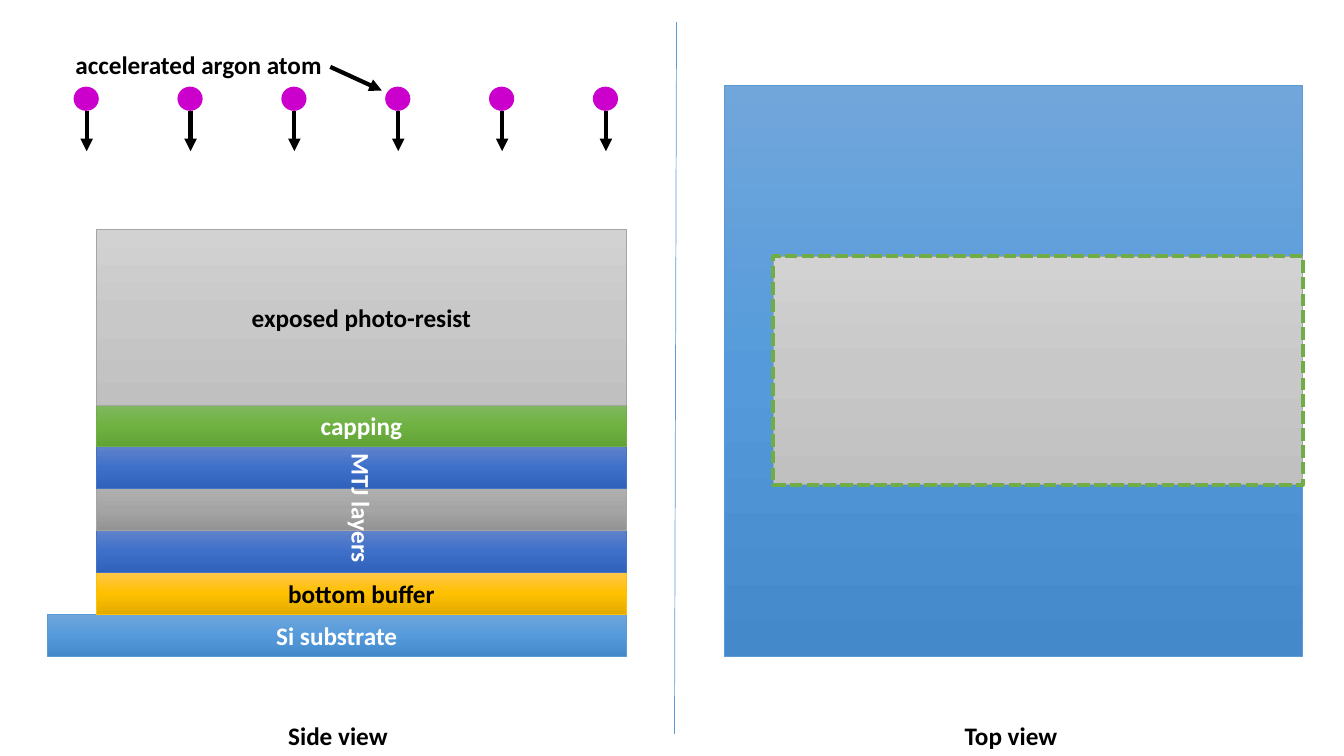
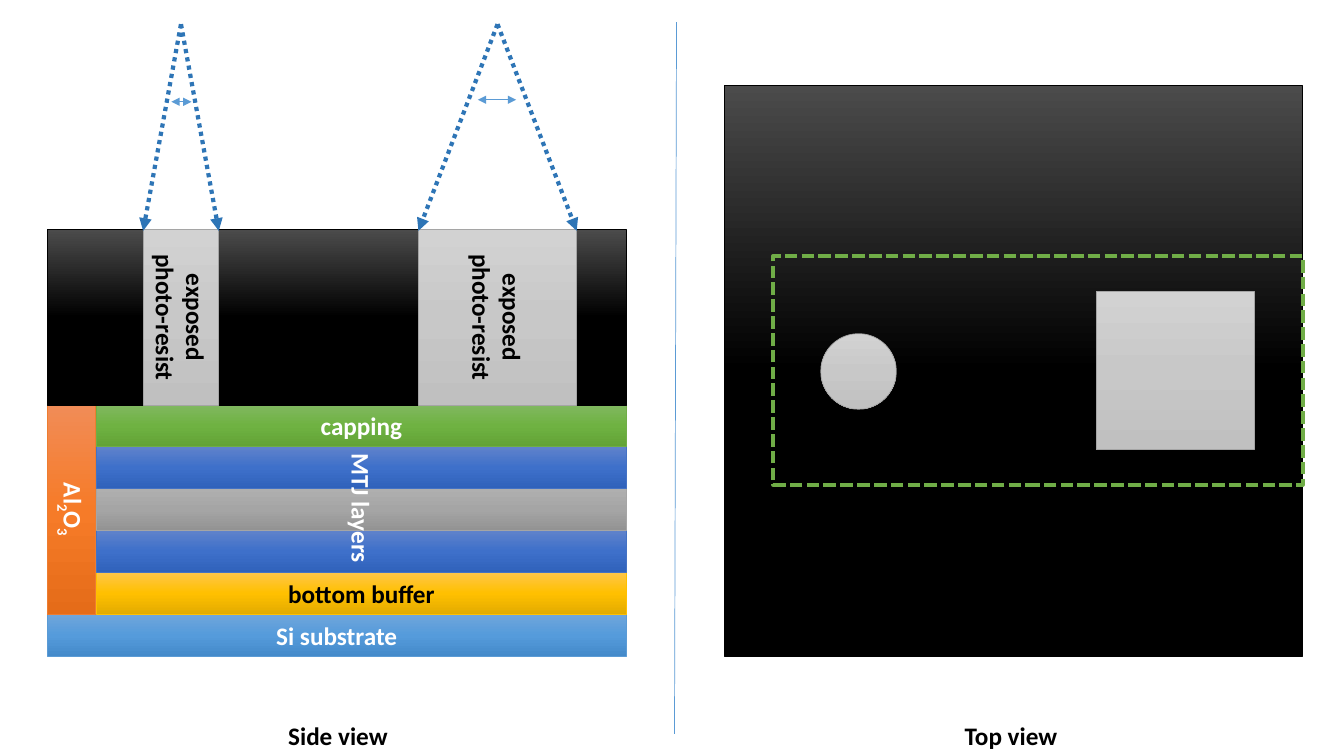
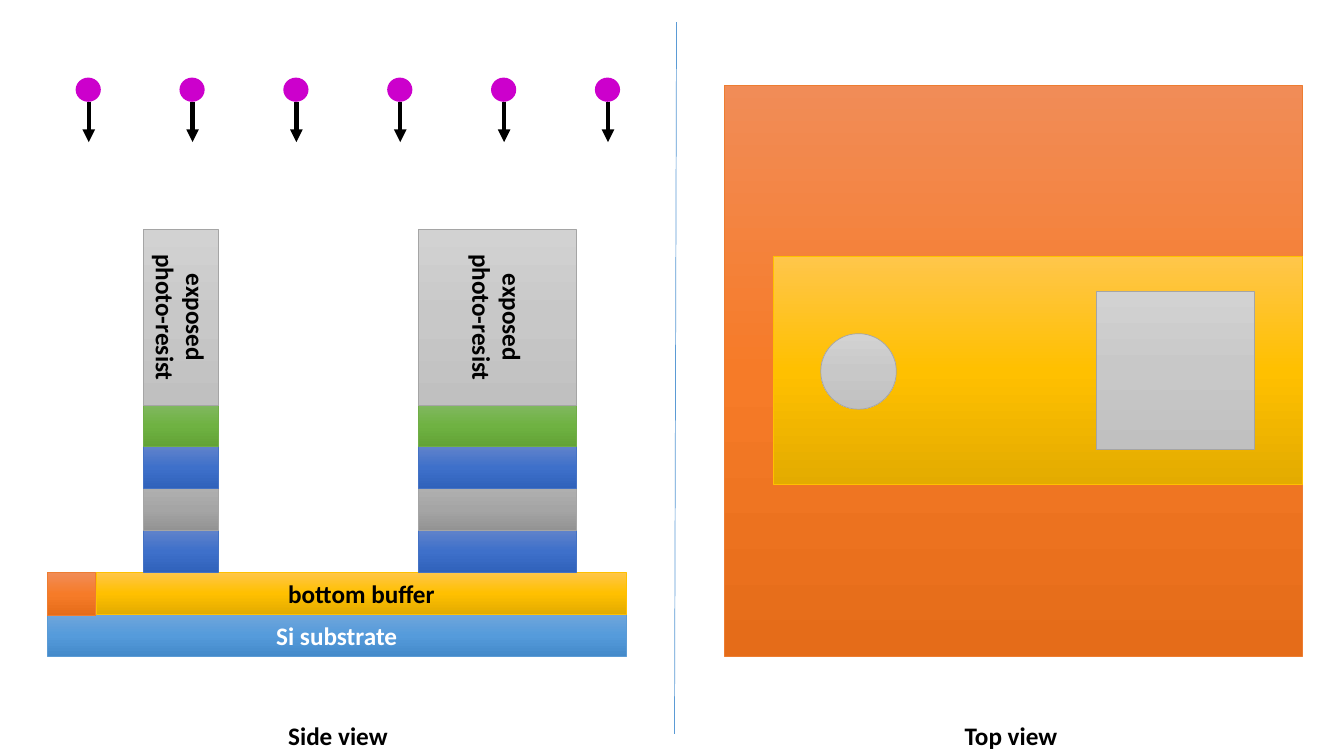
"""Draws three etching steps of a tunnel junction, each in side view and top view."""
from copy import deepcopy
from itertools import groupby

from lxml import etree
from pptx import Presentation
from pptx.dml.color import RGBColor
from pptx.enum.dml import MSO_LINE
from pptx.enum.shapes import MSO_CONNECTOR, MSO_SHAPE
from pptx.enum.text import MSO_ANCHOR, MSO_AUTO_SIZE, PP_ALIGN
from pptx.oxml.ns import qn
from pptx.util import Emu, Pt

RECT, OVAL = MSO_SHAPE.RECTANGLE, MSO_SHAPE.OVAL
CALLOUT = MSO_SHAPE.LINE_CALLOUT_1_NO_BORDER
STRAIGHT = MSO_CONNECTOR.STRAIGHT
DASHES, DOTS = MSO_LINE.SQUARE_DOT, MSO_LINE.ROUND_DOT
CENTER, MIDDLE = PP_ALIGN.CENTER, MSO_ANCHOR.MIDDLE
GROW = MSO_AUTO_SIZE.SHAPE_TO_FIT_TEXT

PX = 9144
FONT, FONT_SIZE = "Calibri", 18
BLACK, WHITE, BLUE, BEAM_BLUE = "000000", "FFFFFF", "5B9BD5", "2E75B6"
GREEN, ATOM_PURPLE = "70AD47", "CC00CC"

# material: gradient stops, outline, label colour
MATERIALS = {
    "substrate": (("71A6DB", "559BDB", "448ACA"), BLUE, WHITE),
    "buffer": (("FFC64B", "FFC000", "E3AB00"), "FFC000", BLACK),
    "magnet": (("6183CB", "3E70CA", "3062BB"), "4472C4", WHITE),
    "barrier": (("AFAFAF", "A5A5A5", "939393"), "A5A5A5", WHITE),
    "capping": (("81B861", "6FB242", "62A336"), GREEN, WHITE),
    "resist": (("D2D2D2", "C8C8C8", "C0C0C0"), "A5A5A5", BLACK),
    "unexposed": (("4B4B4B", "000000", "000000"), BLACK, WHITE),
    "alumina": (("F18C57", "F67B28", "E56C19"), "ED7D31", WHITE),
}

CAPTIONS = [("Side view", 276, 119), ("Top view", 947, 113)]
SIDE_LEFT, SIDE_WIDTH = 47, 574
STACK_LEFT, STACK_WIDTH = 96, 525
SUBSTRATE_TOP, LAYER_HEIGHT, LAYER_PITCH = 609, 42, 41.6
JUNCTION = ["magnet", "barrier", "magnet", "capping"]
RESIST_TOP, RESIST_HEIGHT = 228, 174
PILLARS = [(142, 75), (415, 157)]
WAFER = (718, 85, 574, 566)
MESA = (767, 254, 525, 227)
PILLAR_TOPS = [(OVAL, (814, 331, 75, 75)), (RECT, (1087, 289, 157, 157))]
PILLAR_LABEL = "exposed\nphoto-resist"
ATOM_COUNT, ATOM_PITCH, ATOM_SIZE = 6, 103, (25, 24)
BEAM_TOP, SPREADS = 24, [(170, 190, 101), (474, 512, 99)]


def rgb(color):
    """Turn a hex string into a colour."""
    return RGBColor.from_string(color)


def px(*lengths):
    """Turn px into EMU."""
    return [Emu(round(length * PX)) for length in lengths]


def outline(line, color, width, dash=None):
    """Set colour, width and dash of a line."""
    line.color.rgb = rgb(color)
    line.width = Pt(width)
    if dash:
        line.dash_style = dash


def add_arrowheads(item, ends):
    """Put triangles on the named ends of a line."""
    ln = item._element.spPr.find(qn("a:ln"))
    for end in ends:
        etree.SubElement(ln, qn(f"a:{end}End")).set("type", "triangle")


def write(frame, text, color, align=None):
    """Write lines of bold text, with digits as subscripts."""
    for number, line in enumerate(text.split("\n")):
        paragraph = frame.add_paragraph() if number else frame.paragraphs[0]
        paragraph.alignment = align
        for is_digit, letters in groupby(line, str.isdigit):
            run = paragraph.add_run()
            run.text = "".join(letters)
            font = run.font
            font.name, font.size, font.bold = FONT, Pt(FONT_SIZE), True
            font.color.rgb = rgb(color)
            if is_digit:
                run._r.get_or_add_rPr().set("baseline", "-25000")


def add_plain(slide, kind, box):
    """Add an unfilled shape without a shadow."""
    shape = slide.shapes.add_shape(kind, *px(*box))
    shape.shadow.inherit = False
    shape.fill.background()
    return shape


def add_block(slide, material, box, label="", kind=RECT):
    """Add a piece of material; labels of tall pieces run downwards."""
    stops, edge, ink = MATERIALS[material]
    shape = add_plain(slide, kind, box)
    shape.fill.gradient()
    shape.fill.gradient_angle = 270
    first = shape._element.spPr.find(".//" + qn("a:gs"))
    first.addnext(deepcopy(first))
    for number, (stop, color) in enumerate(zip(shape.fill.gradient_stops, stops)):
        stop.position = number / 2
        stop.color.rgb = rgb(color)
    outline(shape.line, edge, 0.5)
    if label:
        frame = shape.text_frame
        frame.vertical_anchor = MIDDLE
        if box[3] > box[2]:
            frame._txBody.bodyPr.set("vert", "vert")
        write(frame, label, ink, CENTER)


def add_text(slide, text, box, color, rotation=0):
    """Add a one-line text box."""
    text_box = slide.shapes.add_textbox(*px(*box))
    text_box.rotation = rotation
    text_box.text_frame.word_wrap = False
    text_box.text_frame.auto_size = GROW
    write(text_box.text_frame, text, color)


def add_line(slide, points, color, width, dash=None, ends=()):
    """Add a straight line or arrow."""
    connector = slide.shapes.add_connector(STRAIGHT, *px(*points))
    outline(connector.line, color, width, dash)
    add_arrowheads(connector, ends)
    etree.SubElement(connector._element.spPr, qn("a:effectLst"))


def add_layer(slide, level, material, left, width, label=""):
    """Add a layer at a level counted from the substrate."""
    top = SUBSTRATE_TOP - level * LAYER_PITCH
    add_block(slide, material, (left, top, width, LAYER_HEIGHT), label)


def add_junction(slide, left, width, capping_label=""):
    """Stack the junction layers on the buffer."""
    for level, material in enumerate(JUNCTION, 2):
        label = capping_label if material == "capping" else ""
        add_layer(slide, level, material, left, width, label)


def add_full_junction(slide):
    """Add the unpatterned junction with its labels."""
    add_junction(slide, STACK_LEFT, STACK_WIDTH, "capping")
    add_text(slide, "MTJ layers", (294, 485, 129, 40), WHITE, 90)


def add_mesa_outline(slide):
    """Mark the mesa in the top view."""
    outline(add_plain(slide, RECT, MESA).line, GREEN, 3, DASHES)


def add_pillars(slide):
    """Add the resist pillars in both views."""
    for left, width in PILLARS:
        add_block(slide, "resist", (left, RESIST_TOP, width, RESIST_HEIGHT), PILLAR_LABEL)
    for kind, box in PILLAR_TOPS:
        add_block(slide, "resist", box, kind=kind)


def add_atoms(slide, left, top):
    """Add a row of falling atoms."""
    width, height = ATOM_SIZE
    for number in range(ATOM_COUNT):
        x = left + number * ATOM_PITCH
        atom = add_plain(slide, OVAL, (x, top, width, height))
        atom.fill.solid()
        atom.fill.fore_color.rgb = rgb(ATOM_PURPLE)
        atom.line.fill.background()
        middle = x + 13
        add_line(slide, (middle, top + height, middle, top + 64), BLACK, 3, ends=["tail"])


def add_atom_callout(slide):
    """Name the atoms."""
    callout = add_plain(slide, CALLOUT, (55, 34, 284, 60))
    for number, value in enumerate((0.54, 0.96, 0.93, 1.14)):
        callout.adjustments[number] = value
    outline(callout.line, BLACK, 3)
    add_arrowheads(callout, ["tail"])
    callout.text_frame.vertical_anchor = MIDDLE
    write(callout.text_frame, "accelerated argon atom", BLACK, CENTER)


def add_beams(slide):
    """Add the electron beams that sweep across each pillar."""
    for (left, width), (start, end, y) in zip(PILLARS, SPREADS):
        for edge in (left, left + width):
            points = (left + width / 2, BEAM_TOP, edge, RESIST_TOP + 1)
            add_line(slide, points, BEAM_BLUE, 3, DOTS, ["tail"])
        add_line(slide, (start, y, end, y), BLUE, 0.5, ends=["head", "tail"])


def add_step(deck, wafer_material):
    """Add a slide with the parts that all steps share."""
    slide = deck.slides.add_slide(deck.slide_layouts[6])
    for caption, left, width in CAPTIONS:
        add_text(slide, caption, (left, 710, width, 40), BLACK)
    add_layer(slide, 0, "substrate", SIDE_LEFT, SIDE_WIDTH, "Si substrate")
    add_line(slide, (671, 22, 669, 728), BLUE, 0.5)
    add_block(slide, wafer_material, WAFER)
    add_layer(slide, 1, "buffer", STACK_LEFT, STACK_WIDTH, "bottom buffer")
    return slide


def add_mesa_etching(deck):
    """Etch the mesa."""
    slide = add_step(deck, "substrate")
    add_full_junction(slide)
    resist = (STACK_LEFT, RESIST_TOP, STACK_WIDTH, RESIST_HEIGHT)
    add_block(slide, "resist", resist, "exposed photo-resist")
    add_block(slide, "resist", MESA)
    add_atoms(slide, 73, 86)
    add_atom_callout(slide)
    add_mesa_outline(slide)


def add_pillar_exposure(deck):
    """Expose the pillars."""
    slide = add_step(deck, "unexposed")
    add_full_junction(slide)
    add_block(slide, "alumina", (SIDE_LEFT, 401, 48, 209), "Al2O3")
    add_block(slide, "unexposed", (SIDE_LEFT, RESIST_TOP, SIDE_WIDTH, RESIST_HEIGHT))
    add_mesa_outline(slide)
    add_pillars(slide)
    add_beams(slide)


def add_pillar_etching(deck):
    """Etch the pillars."""
    slide = add_step(deck, "alumina")
    add_block(slide, "alumina", (SIDE_LEFT, 568, 48, 43))
    for left, width in PILLARS:
        add_junction(slide, left, width)
    add_block(slide, "buffer", MESA)
    add_pillars(slide)
    add_atoms(slide, 75, 77)


def main():
    """Build and save the deck."""
    deck = Presentation()
    deck.slide_width, deck.slide_height = px(1333, 750)
    add_mesa_etching(deck)
    add_pillar_exposure(deck)
    add_pillar_etching(deck)
    deck.save("out.pptx")


if __name__ == "__main__":
    main()
